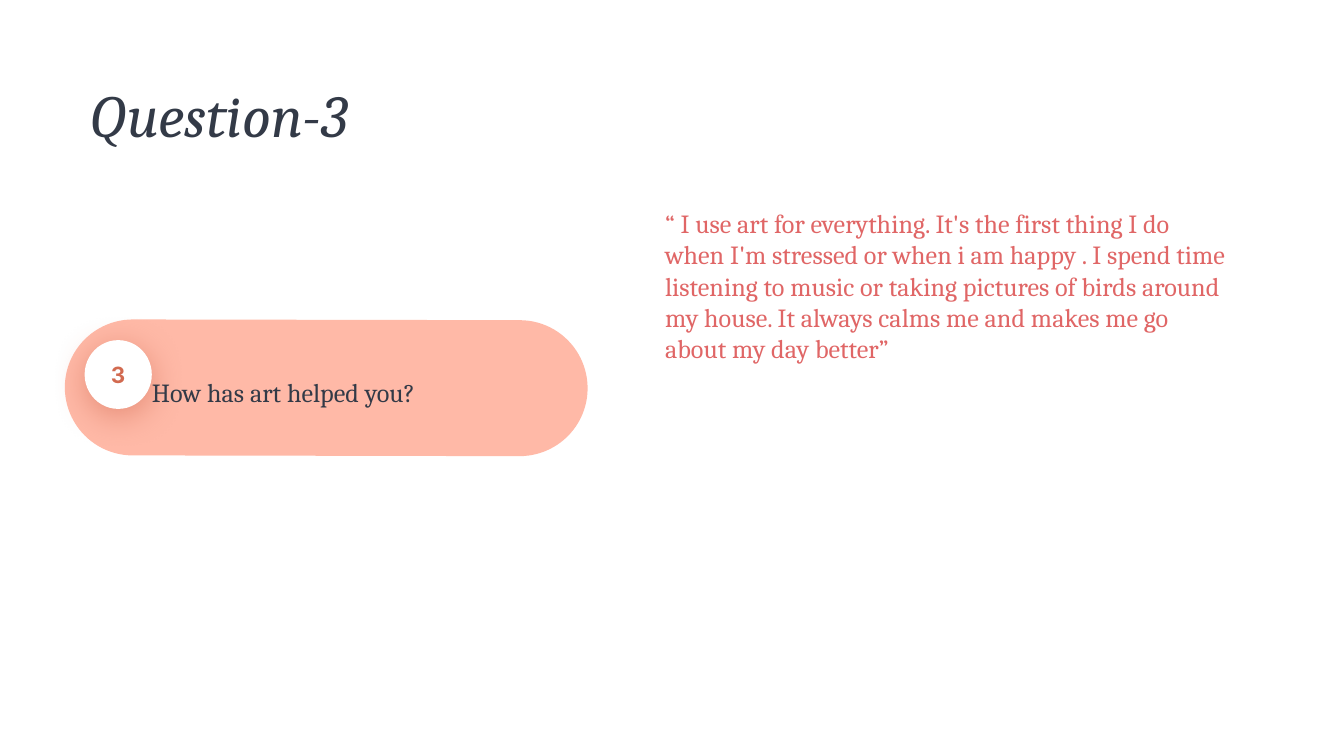
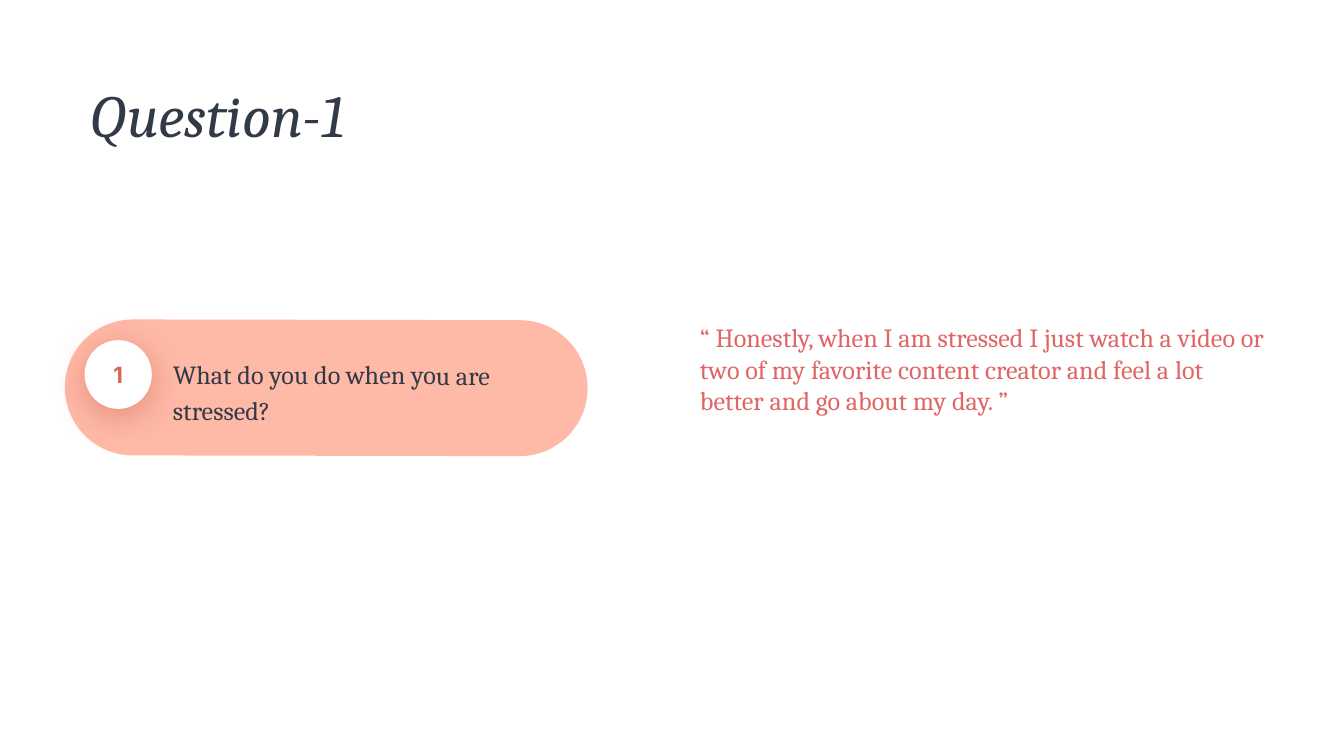
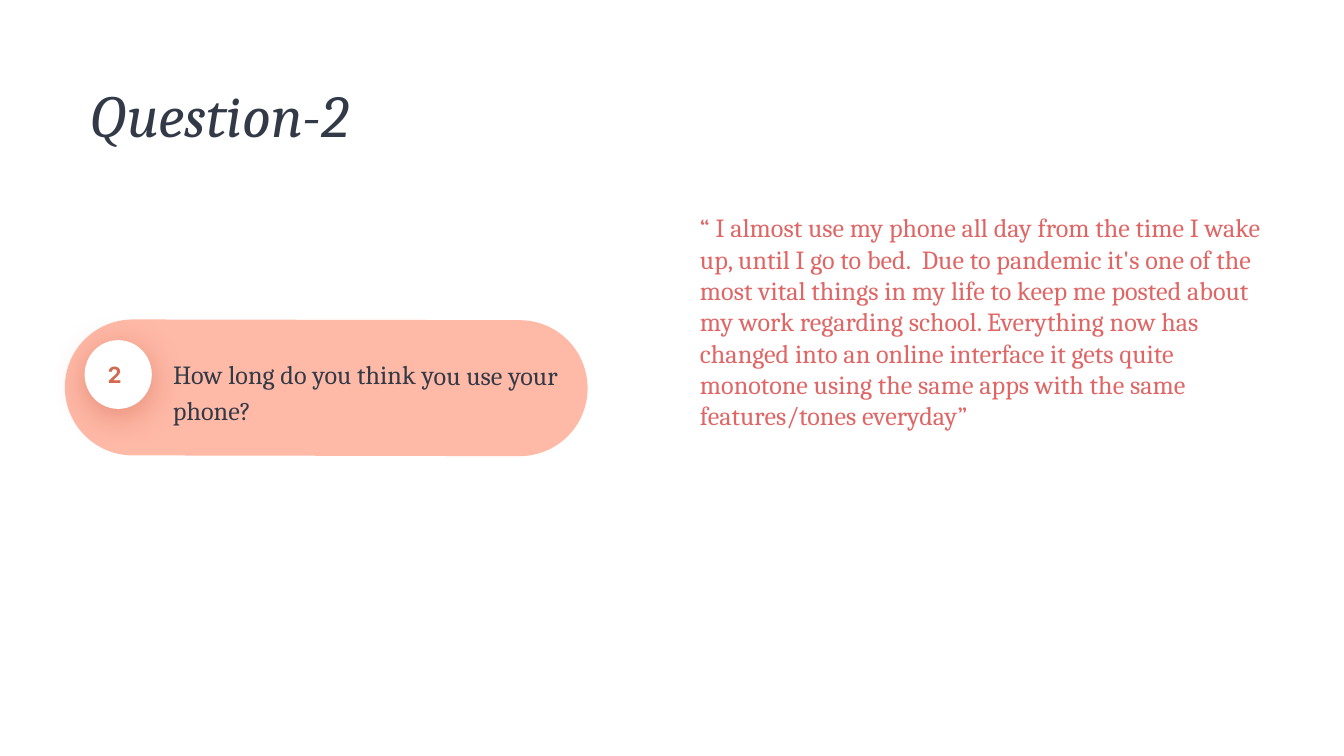
from lxml import etree
from pptx import Presentation
from pptx import util as u
from pptx.dml.color import RGBColor
from pptx.enum import shapes, text
from pptx.oxml import ns

COLOURS = {
    "ink": "333A47",
    "peach": "FFB9A7",
    "rust": "D26A50",
    "coral": "E06666",
    "white": "FFFFFF",
}
SERIF, SANS = "Cambria", "Inter"
INSET = 0.25
LINE_HEIGHT = 0.6  # one line of the quote text, in cm

# Number, question, question left, quote, quote box (left, top, height),
# and alignment of the number
INTERVIEW = [
    (3, "How has art helped you?", 2.62,
     "“ I use art for everything. It's the first thing I do when I'm stressed "
     "or when i am happy . I spend time listening to music or taking pictures "
     "of birds around my house. It always calms me and makes me go about my "
     "day better”",
     (12.32, 3.07, 4.11), text.PP_ALIGN.CENTER),
    (1, "What do you do when you are stressed?", 3.02,
     "“ Honestly, when I am stressed I just watch a video or two of my "
     "favorite content creator and feel a lot better and go about my day. ”",
     (12.98, 5.23, 2.9), text.PP_ALIGN.CENTER),
    (2, "How long do you think you use your phone?", 3.02,
     "“ I almost use my phone all day from the time I wake up, until I go to "
     "bed.  Due to pandemic it's one of the most vital things in my life to "
     "keep me posted about my work regarding school. Everything now has "
     "changed into an online interface it gets quite monotone using the same "
     "apps with the same features/tones everyday”",
     (12.98, 3.15, 5.31), text.PP_ALIGN.LEFT),
]


class Deck:
    """Holds the style and the current slide."""

    def __init__(self):
        self.presentation = Presentation()
        self.presentation.slide_width = u.Cm(25.4)
        self.presentation.slide_height = u.Cm(14.29)
        self.slide = None

    def new_slide(self):
        self.slide = self.presentation.slides.add_slide(self.presentation.slide_layouts[6])
        fill = self.slide.background.fill
        fill.solid()
        fill.fore_color.rgb = self.colour("white")

    def colour(self, name):
        return RGBColor.from_string(COLOURS[name])

    def set_words(self, shape, words, size, colour, font=SERIF, bold=False, italic=False,
                  align=text.PP_ALIGN.LEFT, spacing=1.0, inset=INSET,
                  anchor=text.MSO_ANCHOR.MIDDLE):
        frame = shape.text_frame
        frame.text = words
        frame.word_wrap = True
        frame.vertical_anchor = anchor
        frame.margin_left = frame.margin_right = u.Cm(inset)
        frame.margin_top = frame.margin_bottom = u.Cm(inset)
        paragraph = frame.paragraphs[0]
        paragraph.alignment = align
        paragraph.line_spacing = spacing
        for run in paragraph.runs:
            run.font.name = font
            run.font.size = u.Pt(size)
            run.font.bold = bold
            run.font.italic = italic
            run.font.color.rgb = self.colour(colour)

    def text_box(self, box, words, size, colour, **style):
        shape = self.slide.shapes.add_textbox(*map(u.Cm, box))
        self.set_words(shape, words, size, colour, **style)
        return shape

    def filled_shape(self, kind, box, colour):
        shape = self.slide.shapes.add_shape(kind, *map(u.Cm, box))
        shape.shadow.inherit = False
        shape.fill.solid()
        shape.fill.fore_color.rgb = self.colour(colour)
        shape.line.fill.background()
        return shape

    def title(self, words):
        self.text_box((1.7, 1.63, 11.4, 1.22), words, 32, "ink",
                      italic=True, spacing=0.9, inset=0)

    def pill(self):
        shape = self.filled_shape(shapes.MSO_SHAPE.ROUNDED_RECTANGLE,
                                  (4.88, 2.39, 2.57, 9.88), "peach")
        shape.adjustments[0] = 0.5
        shape.rotation = 90.1

    def badge(self, number, align):
        shape = self.filled_shape(shapes.MSO_SHAPE.OVAL, (1.6, 6.43, 1.27, 1.3), "white")
        self.set_words(shape, str(number), 12, "rust", font=SANS, bold=True, align=align)
        # Soft shadow straight below the badge
        effects = shape._element.spPr.find(ns.qn("a:effectLst"))
        shadow = etree.SubElement(effects, ns.qn("a:outerShdw"), blurRad=str(u.Pt(18)),
                                  dist=str(u.Pt(4)), dir="5400000", algn="ctr",
                                  rotWithShape="0")
        tint = etree.SubElement(shadow, ns.qn("a:srgbClr"), val=COLOURS["rust"])
        etree.SubElement(tint, ns.qn("a:alpha"), val="55000")

    def question(self, words, left):
        shape = self.text_box((left, 6.5, 10.82 - left, 1.75), words, 14, "ink", spacing=1.15)
        shape.rotation = 0.1

    def quote(self, words, left, top, height):
        shape = self.text_box((left, top, 11.25, height), words, 14, "coral",
                              anchor=text.MSO_ANCHOR.TOP)
        shape.text_frame.margin_top = u.Cm(INSET + LINE_HEIGHT)


def main():
    deck = Deck()
    for number, question, question_left, quote, quote_box, align in INTERVIEW:
        deck.new_slide()
        deck.title(f"Question-{number}")
        # Question on the left
        deck.pill()
        deck.badge(number, align)
        deck.question(question, question_left)
        # Answer on the right
        deck.quote(quote, *quote_box)
    deck.presentation.save("out.pptx")


if __name__ == "__main__":
    main()
